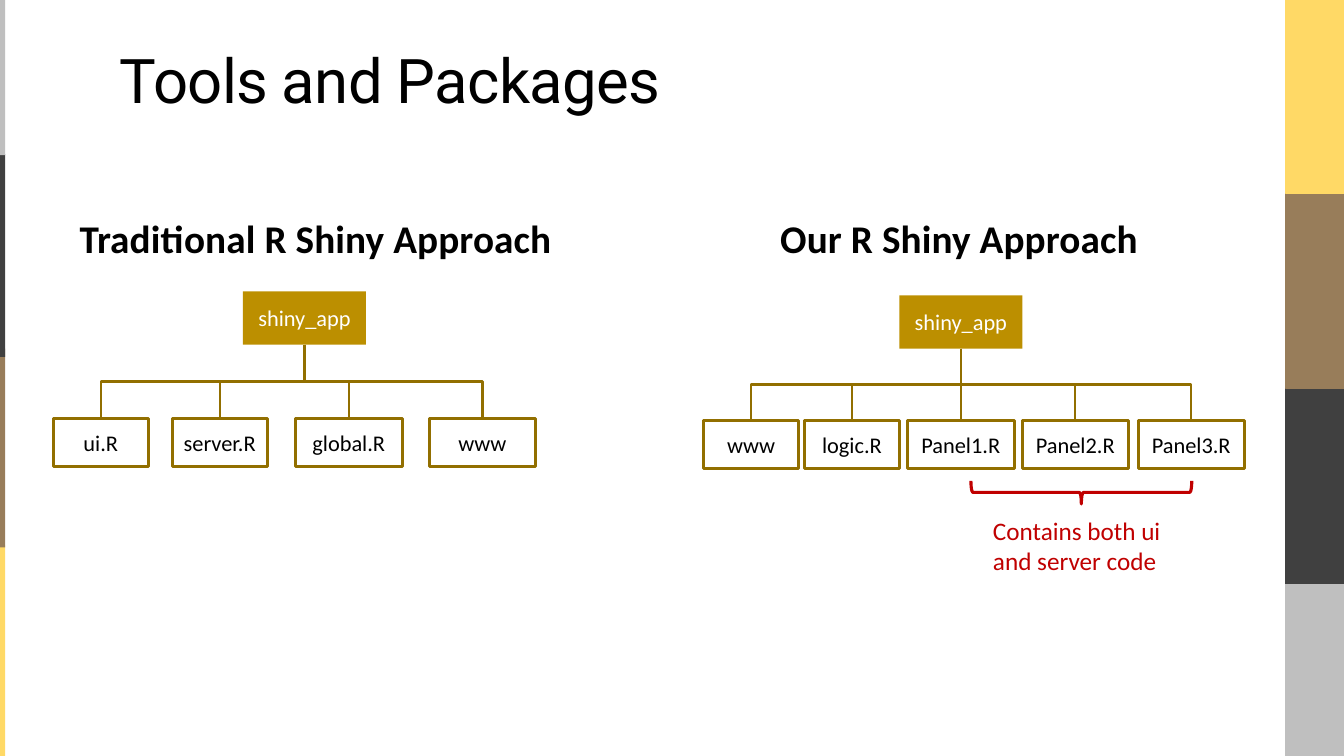
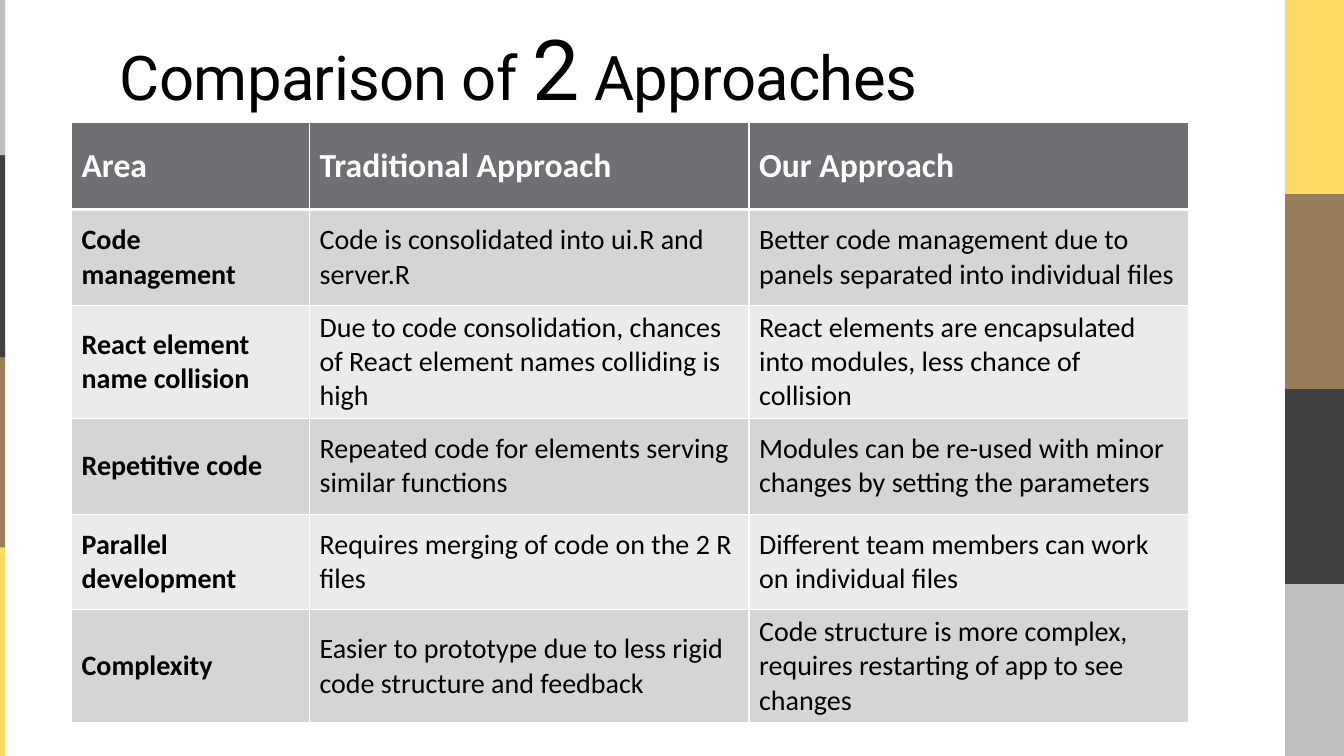
from typing import NamedTuple

from lxml.etree import SubElement
from pptx import Presentation
from pptx.dml.color import RGBColor as Rgb
from pptx.enum.shapes import MSO_CONNECTOR as Link, MSO_SHAPE as Form
from pptx.enum.text import MSO_ANCHOR as Anchor, MSO_AUTO_SIZE as Fit, PP_ALIGN as Align
from pptx.oxml.ns import qn
from pptx.util import Inches, Pt

HUES = {
    "black": "000000", "white": "FFFFFF", "dark": "404040", "yellow": "FFD966",
    "brown": "987D5A", "silver": "BFBFBF", "gold": "BC8F00", "bronze": "926F00",
    "red": "C00000", "slate": "6F6F74", "odd": "D5D5D6", "even": "EBEBEB",
}


class Box(NamedTuple):
    left: float
    top: float
    width: float
    height: float

    def emu(self) -> list:
        return [Inches(side) for side in self]


class Band(NamedTuple):
    box: Box
    hue: str
    edge: float = 0


class Leaf(NamedTuple):
    name: str
    left: float
    width: float


class Tree(NamedTuple):
    title: str
    head: Box
    root: Box
    top: float
    leaves: list


BANDS = [
    Band(Box(12.75, 0, 0.58, 7.5), "dark", 1.1),
    Band(Box(12.75, 0, 0.58, 1.92), "yellow", 1.1),
    Band(Box(12.75, 1.93, 0.58, 1.92), "brown", 1.1),
    Band(Box(12.75, 5.8, 0.58, 1.7), "silver", 1.1),
    Band(Box(0, 5.41, 0.05, 2.09), "yellow"),
    Band(Box(0, 3.46, 0.05, 1.97), "brown"),
    Band(Box(0, 1.53, 0.05, 2.01), "dark"),
    Band(Box(0, 0, 0.05, 1.54), "silver"),
]
TITLE = Box(1.09, 0.22, 10.1, 0.99)
LEAF_HEIGHT = 0.48
TREES = [
    Tree("Traditional R Shiny Approach", Box(0.69, 2.11, 5.02, 0.69),
         Box(2.41, 2.89, 1.22, 0.53), 4.15,
         [Leaf("ui.R", 0.53, 0.94), Leaf("server.R", 1.71, 0.94),
          Leaf("global.R", 2.93, 1.06), Leaf("www", 4.26, 1.05)]),
    Tree("Our R Shiny Approach", Box(7.64, 2.11, 3.77, 0.69),
         Box(8.92, 2.93, 1.22, 0.53), 4.17,
         [Leaf("www", 6.98, 0.94), Leaf("logic.R", 7.98, 0.94),
          Leaf("Panel1.R", 9, 1.06), Leaf("Panel2.R", 10.14, 1.05),
          Leaf("Panel3.R", 11.29, 1.05)]),
]
COLS = [2.36, 4.36, 4.36]
ROWS = [
    ("Area", "Traditional Approach", "Our Approach"),
    ("Code management", "Code is consolidated into ui.R and server.R",
     "Better code management due to panels separated into individual files"),
    ("React element name collision",
     "Due to code consolidation, chances of React element names colliding is high",
     "React elements are encapsulated into modules, less chance of collision"),
    ("Repetitive code", "Repeated code for elements serving similar functions",
     "Modules can be re-used with minor changes by setting the parameters"),
    ("Parallel development", "Requires merging of code on the 2 R files",
     "Different team members can work on individual files"),
    ("Complexity", "Easier to prototype due to less rigid code structure and feedback",
     "Code structure is more complex, requires restarting of app to see changes"),
]


def rgb(hue: str) -> Rgb:
    return Rgb.from_string(HUES[hue])


def write(para, text: str, size: float, hue: str = "black", **form) -> None:
    """Add a run, with any further font values given by name."""
    run = para.add_run()
    run.text = text
    for key, value in {"name": "Calibri", "size": Pt(size), **form}.items():
        setattr(run.font, key, value)
    run.font.color.rgb = rgb(hue)


def track(shape, points: float) -> None:
    """Set the letter spacing of all runs."""
    for props in shape.element.iter(qn("a:rPr")):
        props.set("spc", str(round(points * 100)))


def block(slide, box: Box, fill: str = "", line: str = "", edge: float = 0,
          form=Form.RECTANGLE):
    shape = slide.shapes.add_shape(form, *box.emu())
    shape.shadow.inherit = False
    if fill:
        shape.fill.solid()
        shape.fill.fore_color.rgb = rgb(fill)
    else:
        shape.fill.background()
    if edge:
        shape.line.color.rgb = rgb(line)
        shape.line.width = Pt(edge)
    else:
        shape.line.fill.background()
    return shape


def node(slide, text: str, box: Box, hue: str, *look):
    shape = block(slide, box, *look)
    para = shape.text_frame.paragraphs[0]
    para.alignment = Align.CENTER
    write(para, text, 16, hue)
    return shape


def label(slide, box: Box, text: str, size: float, hue: str = "black", **form):
    shape = slide.shapes.add_textbox(*box.emu())
    shape.text_frame.word_wrap = True
    write(shape.text_frame.paragraphs[0], text, size, hue, **form)
    return shape


def join(slide, root, leaf) -> None:
    """Link root to leaf with an elbow that leaves downwards."""
    line = slide.shapes.add_connector(Link.ELBOW, 0, 0, 0, 0)
    line.begin_connect(root, 2)
    line.end_connect(leaf, 0)
    start, end = root.left + root.width // 2, leaf.left + leaf.width // 2
    base = root.top + root.height
    drop, span = leaf.top - base, abs(end - start)
    line.left = (start + end - drop) // 2
    line.top = base + (drop - span) // 2
    line.width, line.height = drop, span
    right = end >= start
    frame = line.element.spPr.find(qn("a:xfrm"))
    for key, value in {"rot": (270 if right else 90) * 60000,
                       "flipH": int(right), "flipV": 0}.items():
        frame.set(key, str(value))
    line.line.color.rgb = rgb("bronze")
    line.line.width = Pt(1.5)
    SubElement(line.element.spPr, qn("a:effectLst"))


def draw_tree(slide, tree: Tree) -> None:
    head = label(slide, tree.head, tree.title, 28, bold=True)
    para = head.text_frame.paragraphs[0]
    para.alignment, para.line_spacing = Align.JUSTIFY, 0.95
    track(head, 0.1)
    root = node(slide, "shiny_app", tree.root, "white", "gold")
    for leaf in tree.leaves:
        box = Box(leaf.left, tree.top, leaf.width, LEAF_HEIGHT)
        join(slide, root, node(slide, leaf.name, box, "black", "white", "bronze", 2.25))


def add_slide(deck, layout, runs: list, spacing: float):
    slide = deck.slides.add_slide(layout)
    title = slide.shapes.title
    frame = title.text_frame
    frame.auto_size, frame.vertical_anchor = Fit.NONE, Anchor.BOTTOM
    para = frame.paragraphs[0]
    para.alignment, para.line_spacing = Align.LEFT, spacing
    for text, size in runs:
        write(para, text, size, name="Roboto")
    track(title, -0.5)
    return slide


def dress(layout, slide) -> None:
    """Set the title place and move the side bands into the layout."""
    title = layout.placeholders[0]
    title.left, title.top, title.width, title.height = TITLE.emu()
    for spot, band in enumerate(BANDS, 2):
        shape = block(slide, band.box, band.hue, band.hue, band.edge)
        layout.shapes.element.insert(spot, shape.element)


def rule(cell, low: float) -> None:
    """Draw white cell borders; low is the width of the bottom one."""
    props = cell._tc.get_or_add_tcPr()
    for spot, (side, width) in enumerate({"L": 1, "R": 1, "T": 1, "B": low}.items()):
        line = SubElement(props, qn(f"a:ln{side}"), w=str(Pt(width)))
        fill = SubElement(line, qn("a:solidFill"))
        SubElement(fill, qn("a:srgbClr"), val=HUES["white"])
        props.insert(spot, line)


def draw_table(slide) -> None:
    box = Box(0.71, 1.21, sum(COLS), 5.62)
    table = slide.shapes.add_table(len(ROWS), len(COLS), *box.emu()).table
    for col, width in zip(table.columns, COLS):
        col.width = Inches(width)
    for r, texts in enumerate(ROWS):
        top = r == 0
        table.rows[r].height = Inches(0.87 if top else 0.95)
        for c, text in enumerate(texts):
            cell = table.cell(r, c)
            cell.vertical_anchor = Anchor.MIDDLE
            cell.fill.solid()
            cell.fill.fore_color.rgb = rgb("slate" if top else "odd" if r % 2 else "even")
            rule(cell, 3 if top else 1)
            write(cell.text_frame.paragraphs[0], text, 24 if top else 20,
                  "white" if top else "black", bold=top or c == 0)


def main() -> None:
    deck = Presentation()
    deck.slide_width, deck.slide_height = Inches(13.33), Inches(7.5)
    layout = deck.slide_layouts[5]

    tools = add_slide(deck, layout, [("Tools and Packages", 44)], 0.9)
    dress(layout, tools)
    for tree in TREES:
        draw_tree(tools, tree)
    brace = block(tools, Box(10.61, 3.79, 0.23, 2.19), line="red", edge=2.25,
                  form=Form.LEFT_BRACE)
    brace.rotation = 270
    label(tools, Box(9.75, 5.06, 1.95, 0.71), "Contains both ui and server code", 18, "red")

    versus = add_slide(
        deck, layout, [("Comparison of ", 44), ("2", 60), (" Approaches", 44)], 0.8)
    draw_table(versus)
    deck.save("out.pptx")


if __name__ == "__main__":
    main()
